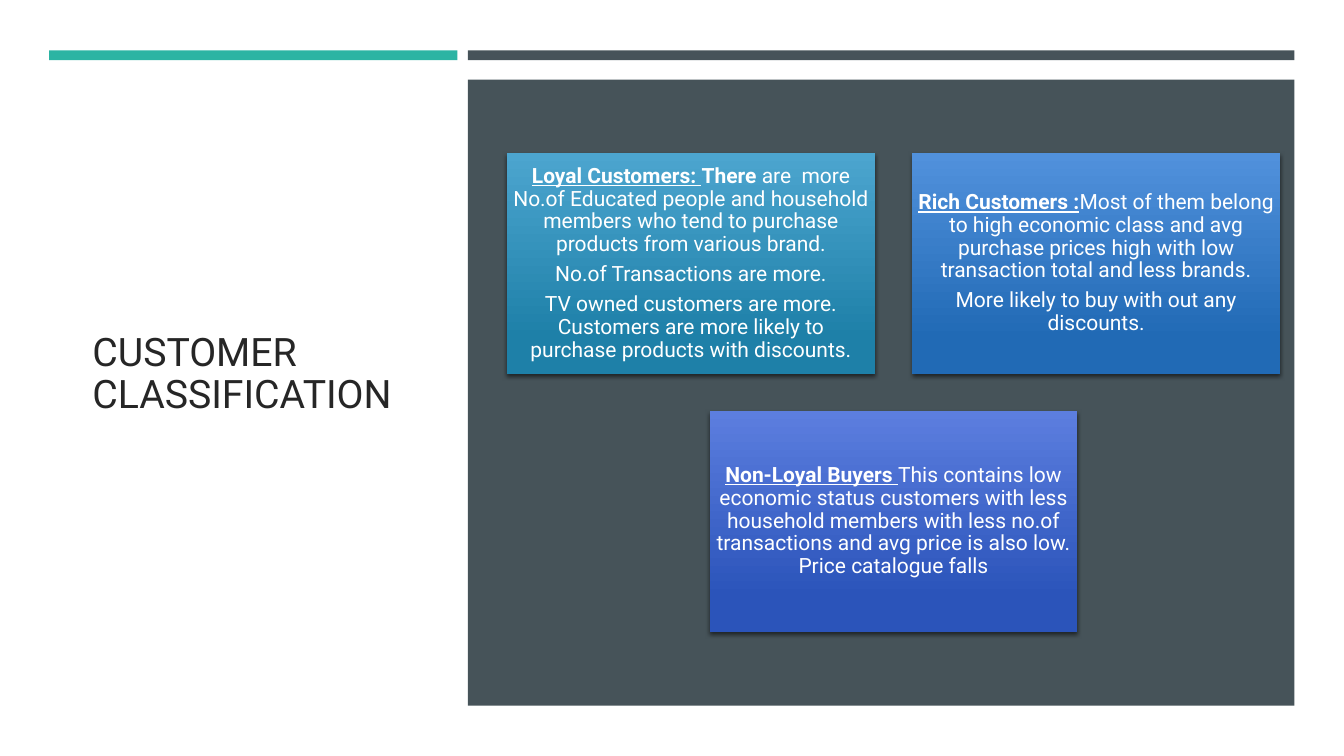
from lxml.etree import SubElement
from pptx import Presentation
from pptx.dml.color import RGBColor
from pptx.enum.shapes import MSO_SHAPE
from pptx.enum.text import MSO_ANCHOR, PP_ALIGN
from pptx.oxml.ns import qn
from pptx.util import Cm, Pt

WHITE = RGBColor(0xFF, 0xFF, 0xFF)
INK = RGBColor(0x26, 0x26, 0x26)
TEAL = RGBColor(0x2C, 0xB4, 0xA3)
SLATE = RGBColor(0x46, 0x53, 0x59)
CYAN_TOP, CYAN_BOTTOM = RGBColor(0x4C, 0xA5, 0xCF), RGBColor(0x1E, 0x80, 0xA8)
BLUE_TOP, BLUE_BOTTOM = RGBColor(0x51, 0x91, 0xDC), RGBColor(0x21, 0x6A, 0xB5)
INDIGO_TOP, INDIGO_BOTTOM = RGBColor(0x5C, 0x7E, 0xDF), RGBColor(0x2B, 0x54, 0xBA)


def write_text(paragraph, text, size=15, color=WHITE, bold=False, underline=False,
               align=PP_ALIGN.CENTER, space_after=5.25):
    paragraph.alignment = align
    paragraph.line_spacing = 0.9
    paragraph.space_after = Pt(space_after)
    run = paragraph.add_run()
    run.text = text
    run.font.name = "Roboto"
    run.font.size = Pt(size)
    run.font.color.rgb = color
    run.font.bold = bold
    run.font.underline = underline


def add_box(left, top, width, height):
    shape = slide.shapes.add_shape(
        MSO_SHAPE.RECTANGLE, Cm(left), Cm(top), Cm(width), Cm(height))
    shape.shadow.inherit = False
    shape.line.fill.background()
    return shape


presentation = Presentation()
presentation.slide_width = Cm(33.87)
presentation.slide_height = Cm(19.05)
slide = presentation.slides.add_slide(presentation.slide_layouts[6])

title = slide.shapes.add_textbox(Cm(2.08), Cm(2.9), Cm(8.48), Cm(13.08))
title.text_frame.word_wrap = True
title.text_frame.vertical_anchor = MSO_ANCHOR.MIDDLE
write_text(title.text_frame.paragraphs[0], "CUSTOMER CLASSIFICATION",
           size=28, color=INK, align=PP_ALIGN.LEFT, space_after=0)

panels = [
    (1.24, 1.27, 10.29, 0.25, TEAL),
    (11.79, 1.27, 20.83, 0.25, SLATE),
    (11.79, 2.01, 20.83, 15.77, SLATE),
]
for left, top, width, height, color in panels:
    panel = add_box(left, top, width, height)
    panel.fill.solid()
    panel.fill.fore_color.rgb = color

CARD_LEFT, CARD_TOP = 12.78, 3.86
COLUMN_STEP, ROW_STEP = 10.21, 6.5
BOLD = {"bold": True}
HEADING = {"bold": True, "underline": True}

cards = [
    (0, 0, CYAN_TOP, CYAN_BOTTOM, [
        [("Loyal Customers: ", HEADING), ("There", BOLD),
         (" are  more No.of Educated people and household members who tend to "
          "purchase products from various brand.", {})],
        [("No.of Transactions are more.", {})],
        [("TV owned customers are more. Customers are more likely to "
          "purchase products with discounts.", {})],
    ]),
    (1, 0, BLUE_TOP, BLUE_BOTTOM, [
        [("Rich Customers :", HEADING),
         ("Most of them belong to high economic class and avg purchase prices "
          "high with low transaction total and less brands.", {})],
        [("More likely to buy with out any discounts.", {})],
    ]),
    (0.5, 1, INDIGO_TOP, INDIGO_BOTTOM, [
        [("Non-Loyal Buyers ", HEADING),
         ("This contains low economic status customers with less household "
          "members with less no.of transactions and avg price is also low. "
          "Price catalogue falls", {})],
    ]),
]
for column, row, top_color, bottom_color, paragraphs in cards:
    card = add_box(CARD_LEFT + column * COLUMN_STEP, CARD_TOP + row * ROW_STEP, 9.27, 5.56)
    card.fill.gradient()
    card.fill.gradient_angle = 270
    for stop, color, position in zip(
            card.fill.gradient_stops, (top_color, bottom_color), (0, 0.84)):
        stop.color.rgb = color
        stop.position = position

    effects = card.element.spPr.find(qn("a:effectLst"))
    shadow = SubElement(effects, qn("a:outerShdw"), blurRad=str(Pt(3)),
                        dist=str(Pt(2)), dir="5400000", algn="ctr", rotWithShape="0")
    shadow_color = SubElement(shadow, qn("a:srgbClr"), val="000000")
    SubElement(shadow_color, qn("a:alpha"), val="55000")

    frame = card.text_frame
    frame.word_wrap = True
    frame.vertical_anchor = MSO_ANCHOR.MIDDLE
    frame.margin_left = frame.margin_right = Cm(0.15)
    frame.margin_top = frame.margin_bottom = Cm(0.15)
    for index, runs in enumerate(paragraphs):
        paragraph = frame.add_paragraph() if index else frame.paragraphs[0]
        for text, style in runs:
            write_text(paragraph, text, **style)

presentation.save("out.pptx")
